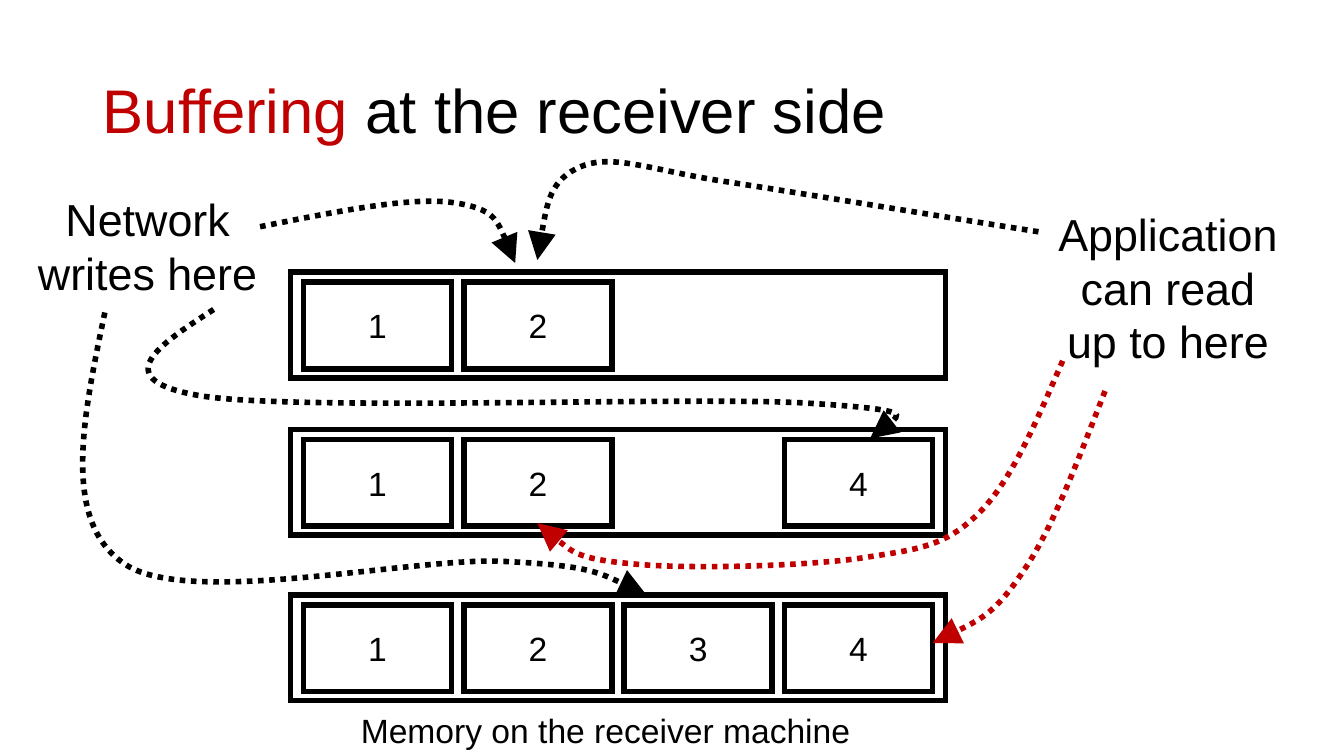
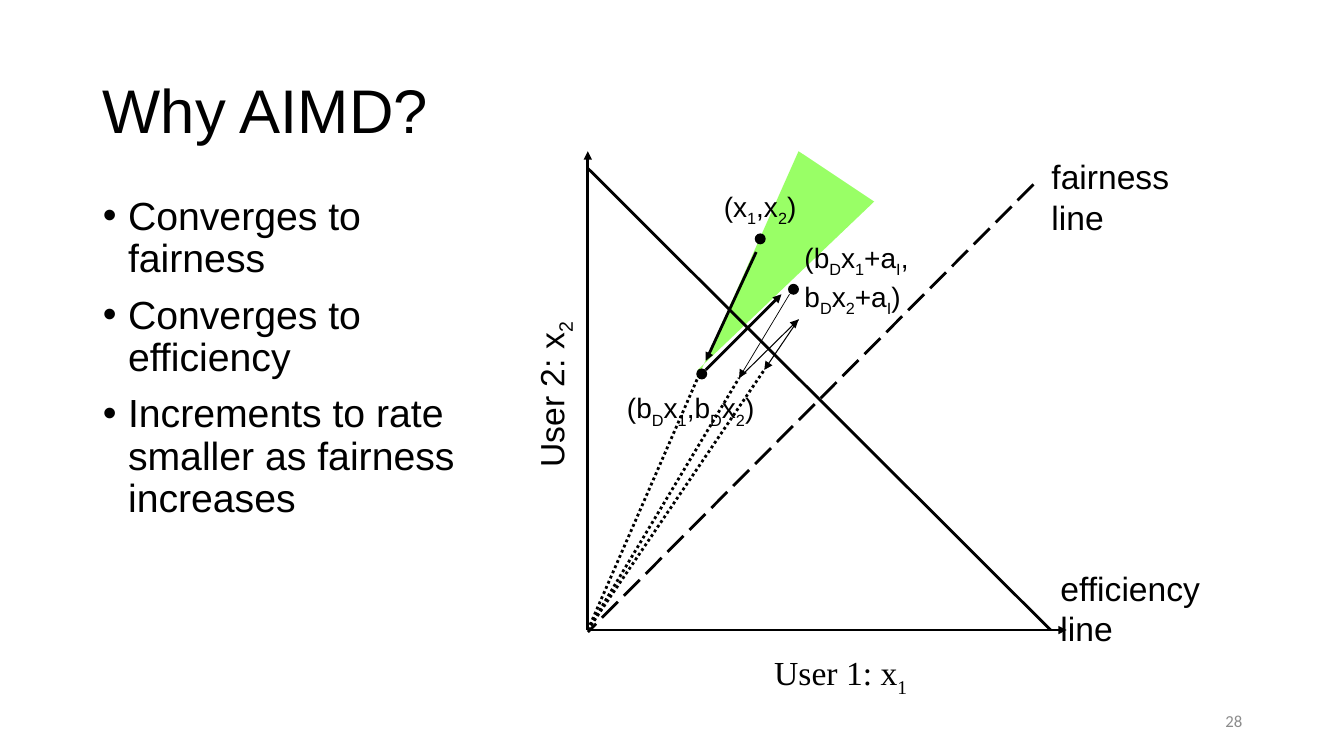
"""Builds two networking slides: receiver buffering and the reasons for AIMD."""
from lxml.etree import SubElement
from pptx import Presentation
from pptx.dml.color import RGBColor
from pptx.enum.dml import MSO_LINE
from pptx.enum.shapes import MSO_CONNECTOR, MSO_SHAPE
from pptx.enum.text import MSO_ANCHOR as ANCHOR, MSO_AUTO_SIZE as AUTO_SIZE, PP_ALIGN as ALIGN
from pptx.oxml.ns import qn
from pptx.util import Inches, Pt

BLACK, RED, GREEN, GRAY = "000000", "C00000", "99FF66", "8C8C8C"
DOT, DASH = MSO_LINE.ROUND_DOT, MSO_LINE.LONG_DASH
TITLE_BOX = (0.92, 0.4, 11.5, 1.45)

BUFFER_LEFT, BUFFER_SIZE = 2.88, (6.5, 1.05)
CELL_LEFT, CELL_STEP, CELL_SIZE, CELL_INSET = 3.01, 1.59, (1.47, 0.86), 0.1
BUFFERS = [(2.7, (1, 2)), (4.26, (1, 2, 4)), (5.9, (1, 2, 3, 4))]
BUFFER_LABELS = [
    ("Application can read up to here", (10.32, 2, 2.53, 1.72), 32, ALIGN.CENTER),
    ("Network writes here", (0.2, 1.85, 2.53, 1.18), 32, ALIGN.CENTER),
    ("Memory on the receiver machine", (3.48, 6.99, 5.44, 0.5), 24, ALIGN.LEFT),
]
CURVED_ARROWS = [
    (BLACK, [(2.58, 2.25), (3.33, 2.1), (4.07, 1.95), (4.49, 2.01),
             (4.92, 2.07), (5.01, 2.34), (5.11, 2.61)]),
    (BLACK, [(10.3, 2.3), (9.28, 2.14), (8.27, 1.97), (7.25, 1.81), (6.49, 1.7),
             (6.09, 1.52), (5.77, 1.65), (5.45, 1.78), (5.39, 2.18), (5.33, 2.58)]),
    (BLACK, [(2.12, 3.07), (1.58, 3.42), (1.03, 3.77), (2.01, 3.93), (3, 4.08),
             (6.92, 3.93), (8.02, 4), (9.13, 4.07), (8.88, 4.21), (8.63, 4.35)]),
    (RED, [(10.54, 3.58), (10.28, 4.18), (10.03, 4.78), (9.7, 5.1), (9.36, 5.43),
           (9.1, 5.45), (8.52, 5.54), (7.94, 5.62), (6.76, 5.65), (6.23, 5.59),
           (5.7, 5.54), (5.52, 5.36), (5.33, 5.19)]),
    (BLACK, [(1.04, 3.1), (0.82, 4.15), (0.6, 5.2), (1.26, 5.61), (1.92, 6.02),
             (4.14, 5.52), (5, 5.57), (5.86, 5.61), (6.13, 5.76), (6.41, 5.9)]),
    (RED, [(10.96, 3.88), (10.69, 4.57), (10.43, 5.27), (10.14, 5.68),
           (9.86, 6.1), (9.55, 6.24), (9.25, 6.38)]),
]

REASONS = ["Converges to fairness", "Converges to efficiency",
           "Increments to rate smaller as fairness increases"]
REASONS_BOX = (0.92, 1.9, 4.1, 4.67)
ORIGIN = (5.83, 6.25)
GAIN_REGION = [(6.92, 3.67), (8.67, 2), (7.92, 1.5), (6.92, 3.75)]
STATES, STATE_SIZE = [(7.83, 2.83), (6.92, 3.67), (7.5, 2.33)], 0.08
PLOT_LINES = [
    (ORIGIN, (5.83, 1.5), 2, None, True),
    (ORIGIN, (10.58, 6.25), 2, None, True),
    ((5.83, 1.67), (10.42, 6.25), 2, None, False),
    ((10.25, 1.83), (5.83, 6.27), 2, DASH, False),
    ((7, 3.67), (7.75, 2.92), 2, None, True),
    ((7.5, 2.5), (7, 3.58), 2, None, True),
    (ORIGIN, (6.92, 3.75), 2, DOT, False),
    ((7.92, 3.17), (7.58, 3.67), 0.75, None, True),
    ((7.83, 2.92), (7.33, 3.75), 0.5, None, True),
    ((7.33, 3.75), (7.92, 3.17), 0.75, None, True),
    (ORIGIN, (7.33, 3.75), 2, DOT, False),
    (ORIGIN, (7.58, 3.67), 2, DOT, False),
]
PLOT_LABELS = [
    (["(b_Dx_1+a_I,", "b_Dx_2+a_I)"], (7.88, 2.34, 1.28, 0.77), 20, "Arial", 0),
    (["User 1: x_1"], (7.58, 6.42, 1.55, 0.5), 24, "Times New Roman", 0),
    (["User 2: x_2"], (4.63, 3.65, 1.67, 0.5), 24, "Arial", 270),
    (["fairness", "line"], (10.33, 1.5, 1.38, 0.91), 24, "Arial", 0),
    (["efficiency", "line"], (10.42, 5.58, 1.6, 0.91), 24, "Arial", 0),
    (["(x_1,x_2)"], (7.08, 1.83, 0.95, 0.43), 20, "Arial", 0),
    (["(b_Dx_1,b_Dx_2)"], (6.12, 3.83, 1.53, 0.43), 20, "Arial", 0),
]


def color(value):
    return RGBColor.from_string(value)


def inches(values):
    return [Inches(value) for value in values]


def set_values(target, **values):
    for name, value in values.items():
        setattr(target, name, value)


def style_font(font, size, ink=BLACK, name="Arial"):
    set_values(font, size=Pt(size), name=name)
    font.color.rgb = color(ink)


def style_line(shape, width, ink=BLACK, dash=None, arrow=None):
    shape.line.color.rgb = color(ink)
    set_values(shape.line, width=Pt(width), dash_style=dash)
    outline = shape.line._get_or_add_ln()
    SubElement(outline, qn("a:miter"), lim="800000")
    if arrow:
        SubElement(outline, qn("a:tailEnd"), type="triangle", w=arrow, len=arrow)


def add_rectangle(slide, left, top, size):
    shape = slide.shapes.add_shape(MSO_SHAPE.RECTANGLE, *inches((left, top, *size)))
    shape.shadow.inherit = False
    shape.fill.background()
    style_line(shape, 4)
    return shape


def add_outline(slide, points, close):
    start, *others = [inches(point) for point in points]
    builder = slide.shapes.build_freeform(*start)
    builder.add_line_segments(others, close=close)
    shape = builder.convert_to_shape()
    shape.shadow.inherit = False
    return shape


def add_curved_arrow(slide, ink, points):
    shape = add_outline(slide, points, False)
    shape.fill.background()
    segments = shape._element.xpath(".//a:lnTo")
    for first in range(0, len(segments), 3):
        curve = SubElement(segments[first].getparent(), qn("a:cubicBezTo"))
        for segment in segments[first:first + 3]:
            curve.append(segment[0])
            segment.getparent().remove(segment)
    style_line(shape, 4, ink, DOT, "lg")


def add_line(slide, start, end, width, dash, arrow):
    line = slide.shapes.add_connector(MSO_CONNECTOR.STRAIGHT, *inches(start + end))
    style_line(line, width, dash=dash, arrow="med" if arrow else None)
    SubElement(line._element.spPr, qn("a:effectLst"))


def add_label(slide, lines, box, size, name="Arial", ink=BLACK, align=ALIGN.LEFT, wrap=True):
    shape = slide.shapes.add_textbox(*inches(box))
    frame = shape.text_frame
    set_values(frame, word_wrap=wrap, auto_size=AUTO_SIZE.SHAPE_TO_FIT_TEXT)
    for index, text in enumerate(lines):
        paragraph = frame.add_paragraph() if index else frame.paragraphs[0]
        paragraph.alignment = align
        plain, *marked = text.split("_")
        pieces = [(plain, False)]
        for part in marked:
            pieces += [(part[0], True), (part[1:], False)]
        for piece, lowered in pieces:
            if piece:
                run = paragraph.add_run()
                run.text = piece
                style_font(run.font, size, ink, name)
                if lowered:
                    run._r.get_or_add_rPr().set("baseline", "-25000")
    return shape


def place(placeholder, box):
    names = ("left", "top", "width", "height")
    set_values(placeholder, **dict(zip(names, inches(box))))
    set_values(placeholder.text_frame, word_wrap=True, auto_size=AUTO_SIZE.NONE)
    return placeholder.text_frame


def add_titled_slide(presentation, layout, title_runs):
    slide = presentation.slides.add_slide(presentation.slide_layouts[layout])
    frame = place(slide.shapes.title, TITLE_BOX)
    frame.vertical_anchor = ANCHOR.MIDDLE
    paragraph = frame.paragraphs[0]
    set_values(paragraph, alignment=ALIGN.LEFT, line_spacing=0.9)
    for text, ink in title_runs:
        run = paragraph.add_run()
        run.text = text
        style_font(run.font, 44, ink)
    return slide


def build_buffering(presentation):
    title = [("Buffering", RED), (" at the receiver side", BLACK)]
    slide = add_titled_slide(presentation, 5, title)
    for top, numbers in BUFFERS:
        add_rectangle(slide, BUFFER_LEFT, top, BUFFER_SIZE)
        for number in numbers:
            left = CELL_LEFT + (number - 1) * CELL_STEP
            cell = add_rectangle(slide, left, top + CELL_INSET, CELL_SIZE)
            cell.text_frame.vertical_anchor = ANCHOR.MIDDLE
            paragraph = cell.text_frame.paragraphs[0]
            set_values(paragraph, text=str(number), alignment=ALIGN.CENTER)
            style_font(paragraph.font, 24)
    for text, box, size, align in BUFFER_LABELS:
        add_label(slide, [text], box, size, align=align)
    for ink, points in CURVED_ARROWS:
        add_curved_arrow(slide, ink, points)


def build_aimd(presentation):
    slide = add_titled_slide(presentation, 1, [("Why AIMD?", BLACK)])
    frame = place(slide.placeholders[1], REASONS_BOX)
    for index, text in enumerate(REASONS):
        paragraph = frame.add_paragraph() if index else frame.paragraphs[0]
        properties = paragraph._p.get_or_add_pPr()
        properties.set("marL", str(Inches(0.25)))
        properties.set("indent", str(Inches(-0.25)))
        SubElement(properties, qn("a:buFont"), typeface="Arial")
        SubElement(properties, qn("a:buChar"), char="•")
        set_values(paragraph, text=text, line_spacing=0.9, space_before=Pt(10 if index else 0))
        style_font(paragraph.font, 28)

    region = add_outline(slide, GAIN_REGION, True)
    region.fill.solid()
    region.fill.fore_color.rgb = color(GREEN)
    region.line.fill.background()
    for line in PLOT_LINES:
        add_line(slide, *line)
    for state in STATES:
        dot = slide.shapes.add_shape(MSO_SHAPE.OVAL, *inches((*state, STATE_SIZE, STATE_SIZE)))
        dot.shadow.inherit = False
        dot.fill.solid()
        dot.fill.fore_color.rgb = color(BLACK)
        style_line(dot, 2)
    for lines, box, size, name, rotation in PLOT_LABELS:
        add_label(slide, lines, box, size, name, wrap=False).rotation = rotation
    number = add_label(slide, ["28"], (9.42, 6.95, 3, 0.4), 12, "Calibri", GRAY, ALIGN.RIGHT)
    set_values(number.text_frame, auto_size=AUTO_SIZE.NONE, vertical_anchor=ANCHOR.MIDDLE)


def main():
    presentation = Presentation()
    set_values(presentation, slide_width=Inches(13.33), slide_height=Inches(7.5))
    build_buffering(presentation)
    build_aimd(presentation)
    presentation.save("out.pptx")


if __name__ == "__main__":
    main()
